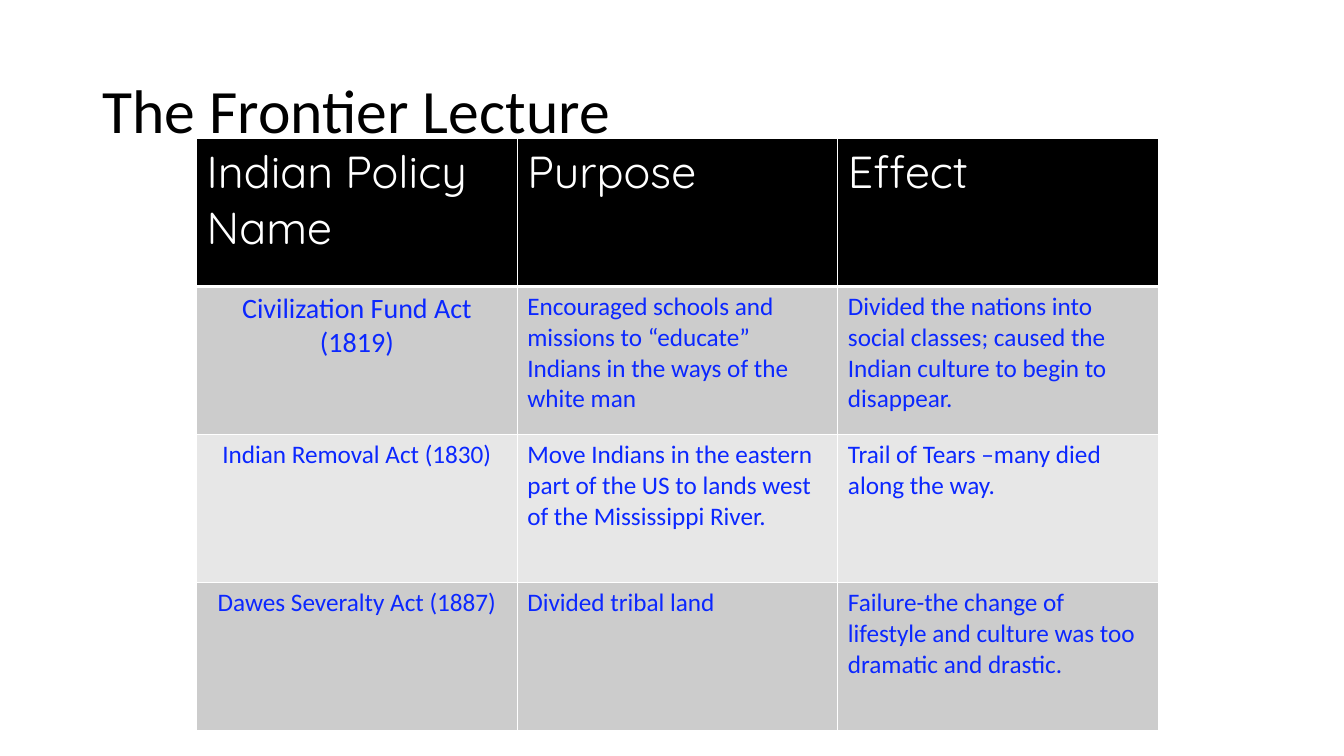
from dataclasses import dataclass

from lxml.etree import SubElement
from pptx import Presentation
from pptx.dml.color import RGBColor
from pptx.enum.text import MSO_ANCHOR, PP_ALIGN
from pptx.oxml.ns import qn
from pptx.table import _Cell
from pptx.text.text import _Paragraph
from pptx.util import Inches, Pt

SLIDE_WIDTH = Inches(13.33)
SLIDE_HEIGHT = Inches(7.5)
COLUMN_WIDTH = Inches(3.18)
ROW_HEIGHT = Inches(1.47)
WHITE = "FFFFFF"
BLACK = "000000"
BLUE = "0B27FF"
BANDS = ("CCCCCC", "E7E7E7")


@dataclass(frozen=True)
class Policy:
    name: str
    purpose: str
    effect: str
    name_size: int = 18


@dataclass(frozen=True)
class CellStyle:
    fill: str
    color: str
    font: str
    size: int
    align: PP_ALIGN = PP_ALIGN.LEFT
    bottom_border: int = 1


HEADINGS = ("Indian Policy Name", "Purpose", "Effect")
POLICIES = (
    Policy(
        "Civilization Fund Act (1819)",
        "Encouraged schools and missions to “educate” Indians in the ways of the white man",
        "Divided the nations into social classes; caused the Indian culture to begin to disappear.",
        name_size=20,
    ),
    Policy(
        "Indian Removal Act (1830)",
        "Move Indians in the eastern part of the US to lands west of the Mississippi River.",
        "Trail of Tears –many died along the way.",
    ),
    Policy(
        "Dawes Severalty Act (1887)",
        "Divided tribal land",
        "Failure-the change of lifestyle and culture was too dramatic and drastic.",
    ),
)


def rgb(color: str) -> RGBColor:
    return RGBColor.from_string(color)


def set_font(paragraph: _Paragraph, name: str, size: int, color: str) -> None:
    paragraph.font.name = name
    paragraph.font.size = Pt(size)
    paragraph.font.color.rgb = rgb(color)


def add_border(cell: _Cell, side: str, points: int) -> None:
    line = SubElement(cell._tc.get_or_add_tcPr(), qn(f"a:ln{side}"), w=str(Pt(points)))
    SubElement(SubElement(line, qn("a:solidFill")), qn("a:srgbClr"), val=WHITE)


def write_cell(cell: _Cell, text: str, style: CellStyle, top_border: int = 1) -> None:
    cell.text = text
    paragraph = cell.text_frame.paragraphs[0]
    paragraph.alignment = style.align
    set_font(paragraph, style.font, style.size, style.color)
    borders = {"L": 1, "R": 1, "T": top_border, "B": style.bottom_border}
    for side, points in borders.items():
        add_border(cell, side, points)
    cell.fill.solid()
    cell.fill.fore_color.rgb = rgb(style.fill)


def add_title(slide, text: str) -> None:
    title = slide.shapes.add_textbox(
        int(SLIDE_WIDTH * 0.069), int(SLIDE_HEIGHT * 0.053),
        int(SLIDE_WIDTH * 0.863), int(SLIDE_HEIGHT * 0.193),
    ).text_frame
    title.word_wrap = True
    title.vertical_anchor = MSO_ANCHOR.MIDDLE
    title.text = text
    title.paragraphs[0].line_spacing = 0.9
    set_font(title.paragraphs[0], "Calibri", 44, BLACK)


def add_policy_table(slide) -> None:
    columns, rows = len(HEADINGS), len(POLICIES) + 1
    table = slide.shapes.add_table(
        rows, columns, int(SLIDE_WIDTH * 0.1463), int(SLIDE_HEIGHT * 0.183),
        COLUMN_WIDTH * columns, ROW_HEIGHT * rows,
    ).table
    heading_style = CellStyle(BLACK, WHITE, "Quicksand", 32, bottom_border=3)
    for column, heading in enumerate(HEADINGS):
        write_cell(table.cell(0, column), heading, heading_style)
    for row, policy in enumerate(POLICIES, start=1):
        band = BANDS[(row - 1) % len(BANDS)]
        name_style = CellStyle(band, BLUE, "Calibri", policy.name_size, PP_ALIGN.CENTER)
        detail_style = CellStyle(band, BLUE, "Calibri", 18)
        top_border = heading_style.bottom_border if row == 1 else 1
        write_cell(table.cell(row, 0), policy.name, name_style, top_border)
        write_cell(table.cell(row, 1), policy.purpose, detail_style, top_border)
        write_cell(table.cell(row, 2), policy.effect, detail_style, top_border)


def main() -> None:
    presentation = Presentation()
    presentation.slide_width = SLIDE_WIDTH
    presentation.slide_height = SLIDE_HEIGHT
    slide = presentation.slides.add_slide(presentation.slide_layouts[6])
    add_title(slide, "The Frontier Lecture")
    add_policy_table(slide)
    presentation.save("out.pptx")


if __name__ == "__main__":
    main()
